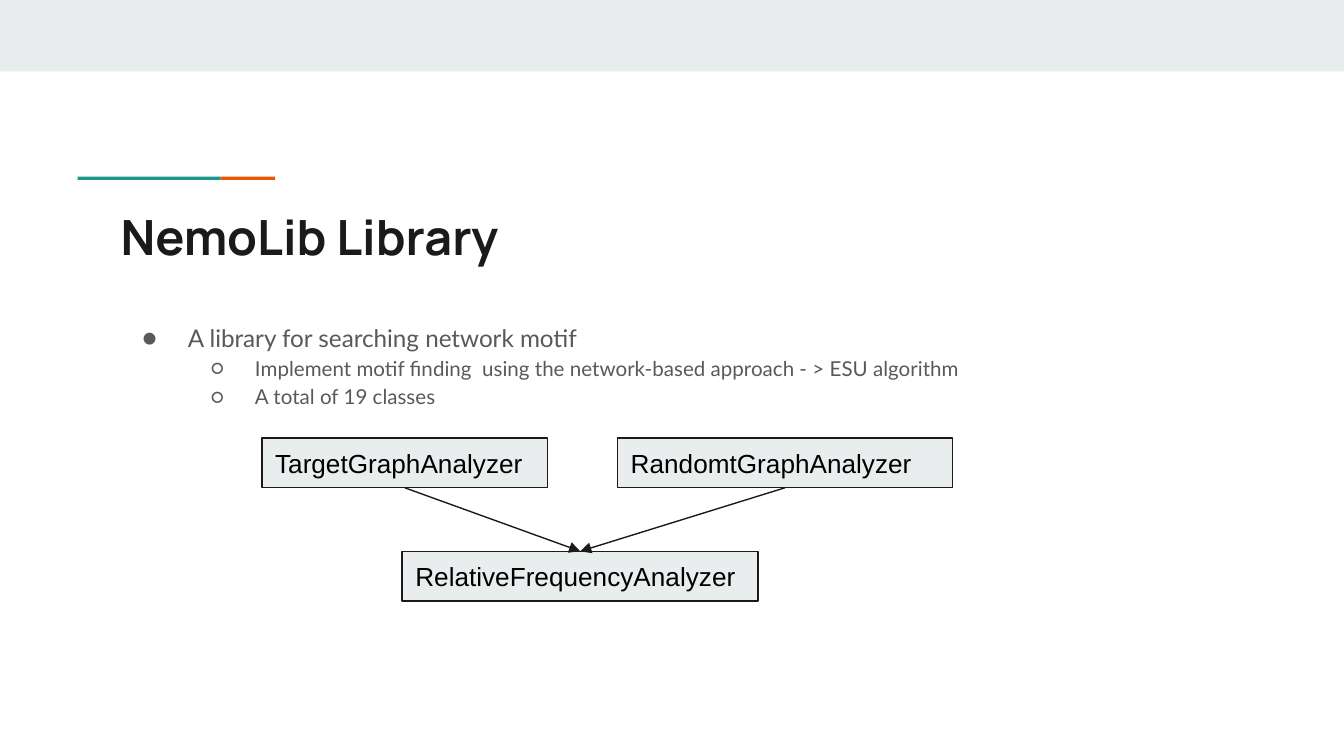
from dataclasses import dataclass

from lxml import etree
from pptx import Presentation
from pptx.dml.color import RGBColor
from pptx.enum import shapes, text
from pptx.oxml import ns
from pptx.util import Cm, Pt

PALE, INK, GREY, BLACK = "E9EDEE", "1A1A1A", "595959", "000000"
TEAL, ORANGE = "1A9988", "EB5600"
INSET = Cm(0.25)


@dataclass
class Area:
    """Position and size in centimetres."""
    left: float
    top: float
    width: float
    height: float

    def lengths(self):
        return [Cm(v) for v in (self.left, self.top, self.width, self.height)]


@dataclass
class Bullet:
    wording: str
    size: int
    level: int
    mark: str
    left: float
    hang: float


BULLETS = [
    Bullet("A library for searching network motif", 13, 0, "●", 1.27, 0.86),
    Bullet("Implement motif finding  using the network-based approach - > ESU algorithm",
           11, 1, "○", 2.54, 0.84),
    Bullet("A total of 19 classes", 11, 1, "○", 2.54, 0.84),
]


def colour(value: str) -> RGBColor:
    return RGBColor.from_string(value)


def add_xml(parent, tag: str, **attributes):
    return etree.SubElement(parent, ns.qn(tag), attributes)


def write(paragraph, wording: str, hue: str, **formats) -> None:
    run = paragraph.add_run()
    run.text = wording
    run.font.color.rgb = colour(hue)
    for name, value in formats.items():
        setattr(run.font, name, value)


def set_frame(frame, anchor=text.MSO_ANCHOR.TOP) -> None:
    formats = {"word_wrap": True, "vertical_anchor": anchor}
    formats.update({f"margin_{side}": INSET for side in ("left", "top", "right", "bottom")})
    for name, value in formats.items():
        setattr(frame, name, value)


def add_block(slide, area: Area, fill: str):
    block = slide.shapes.add_shape(shapes.MSO_SHAPE.RECTANGLE, *area.lengths())
    block.shadow.inherit = False
    block.fill.solid()
    block.fill.fore_color.rgb = colour(fill)
    block.line.fill.background()
    return block


def add_class_box(slide, name: str, area: Area):
    box = add_block(slide, area, PALE)
    box.line.color.rgb = colour(INK)
    box.line.width = Pt(0.75)
    set_frame(box.text_frame, text.MSO_ANCHOR.MIDDLE)
    paragraph = box.text_frame.paragraphs[0]
    paragraph.alignment = text.PP_ALIGN.LEFT
    write(paragraph, name, BLACK, name="Arial", size=Pt(14))
    return box


def add_arrow(slide, source, target) -> None:
    """Join the bottom of source to the top of target."""
    arrow = slide.shapes.add_connector(shapes.MSO_CONNECTOR.STRAIGHT, 0, 0, 0, 0)
    arrow.begin_connect(source, 2)
    arrow.end_connect(target, 0)
    arrow.line.color.rgb = colour(INK)
    arrow.line.width = Pt(0.75)
    add_xml(arrow.line._get_or_add_ln(), "a:tailEnd", type="triangle")
    add_xml(arrow._element.spPr, "a:effectLst")


def add_frame(slide, area: Area):
    frame = slide.shapes.add_textbox(*area.lengths()).text_frame
    set_frame(frame)
    return frame


def add_bullets(frame, bullets: list[Bullet]) -> None:
    for index, bullet in enumerate(bullets):
        paragraph = frame.add_paragraph() if index else frame.paragraphs[0]
        paragraph.level = bullet.level
        paragraph.line_spacing = 1.15
        properties = paragraph._p.get_or_add_pPr()
        properties.set("marL", str(Cm(bullet.left)))
        properties.set("indent", str(-Cm(bullet.hang)))
        add_xml(add_xml(properties, "a:buClr"), "a:srgbClr", val=GREY)
        add_xml(properties, "a:buFont", typeface="Lato")
        add_xml(properties, "a:buChar", char=bullet.mark)
        write(paragraph, bullet.wording, GREY, name="Lato", size=Pt(bullet.size))


def main() -> None:
    deck = Presentation()
    deck.slide_width, deck.slide_height = Cm(25.4), Cm(14.29)
    slide = deck.slides.add_slide(deck.slide_layouts[6])

    add_block(slide, Area(0, 0, 25.4, 1.35), PALE)
    add_block(slide, Area(4.17, 3.34, 1.03, 0.06), ORANGE)
    add_block(slide, Area(1.47, 3.34, 2.7, 0.06), TEAL)

    title = add_frame(slide, Area(2.03, 3.66, 21.36, 1.5))
    write(title.paragraphs[0], "NemoLib Library", INK, name="Manrope", size=Pt(26), bold=True)
    add_bullets(add_frame(slide, Area(2.03, 5.77, 21.36, 6.27)), BULLETS)

    target = add_class_box(slide, "TargetGraphAnalyzer", Area(4.95, 8.28, 5.4, 0.94))
    random = add_class_box(slide, "RandomtGraphAnalyzer", Area(11.67, 8.28, 6.33, 0.94))
    frequency = add_class_box(slide, "RelativeFrequencyAnalyzer", Area(7.6, 10.42, 6.73, 0.94))
    for analyzer in (target, random):
        add_arrow(slide, analyzer, frequency)

    deck.save("out.pptx")


if __name__ == "__main__":
    main()
